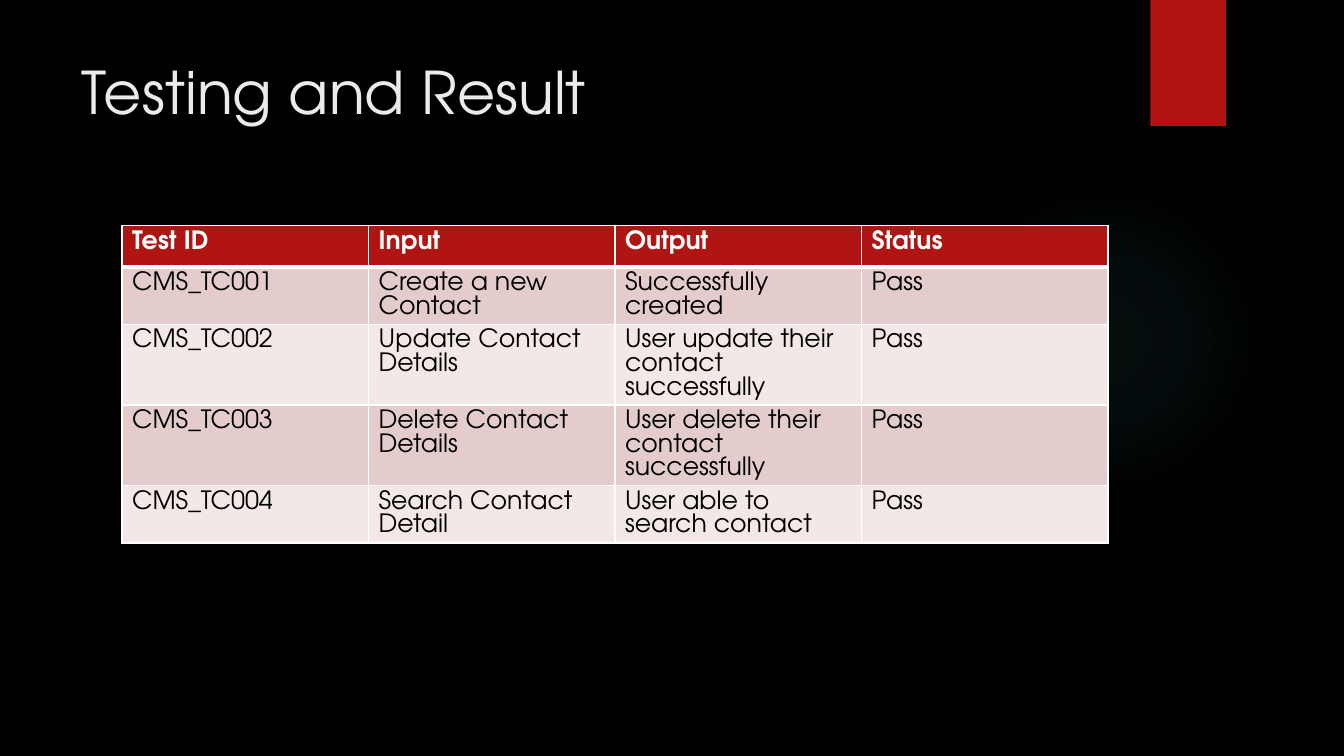
from dataclasses import dataclass
from lxml.etree import SubElement
from pptx import Presentation
from pptx.dml.color import RGBColor as RGB
from pptx.enum.shapes import MSO_SHAPE as SHAPE
from pptx.enum.text import MSO_ANCHOR as ANCHOR, PP_ALIGN as ALIGN
from pptx.oxml import parse_xml
from pptx.oxml.ns import nsdecls, qn
from pptx.util import Inches, Pt

TITLE = "Testing and Result"
HEADER = ("Test ID", "Input", "Output", "Status")
TESTS = [
    ("CMS_TC001", "Create a new Contact", "Successfully created", "Pass"),
    ("CMS_TC002", "Update Contact Details", "User update their contact successfully", "Pass"),
    ("CMS_TC003", "Delete Contact Details", "User delete their contact successfully", "Pass"),
    ("CMS_TC004", "Search Contact Detail", "User able to search contact", "Pass"),
]
GLOW_STOPS = [(0, 7), (36, 6), (69, 0)]


@dataclass(frozen=True)
class Theme:
    font: str = "TeX Gyre Adventor"
    background: str = "000000"
    title: str = "EBEBEB"
    accent: str = "B01513"
    glow: str = "50B9C1"
    header_text: str = "FFFFFF"
    body_text: str = "000000"
    border: str = "FFFFFF"
    bands: tuple = ("E4CCCC", "F2E8E7")
    title_size: int = 42
    table_size: int = 18


THEME = Theme()


def paint(fill, color):
    fill.solid()
    fill.fore_color.rgb = RGB.from_string(color)


def style_text(frame, size, color, bold=False):
    for paragraph in frame.paragraphs:
        paragraph.alignment = ALIGN.LEFT
        for run in paragraph.runs:
            run.font.name = THEME.font
            run.font.size = Pt(size)
            run.font.bold = bold
            run.font.color.rgb = RGB.from_string(color)


def add_decor(slide, preset, left, top, width, height):
    decor = slide.shapes.add_shape(
        preset, Inches(left), Inches(top), Inches(width), Inches(height))
    decor.shadow.inherit = False
    decor.line.fill.background()
    paint(decor.fill, THEME.accent)
    return decor


def fill_with_glow(decor):
    stops = "".join(
        f'<a:gs pos="{position * 1000}"><a:srgbClr val="{THEME.glow}">'
        f'<a:alpha val="{alpha * 1000}"/></a:srgbClr></a:gs>'
        for position, alpha in GLOW_STOPS)
    gradient = parse_xml(
        f'<a:gradFill {nsdecls("a")}><a:gsLst>{stops}</a:gsLst><a:path path="circle">'
        '<a:fillToRect l="50000" t="50000" r="50000" b="50000"/></a:path></a:gradFill>')
    properties = decor.element.spPr
    properties.replace(properties.find(qn("a:solidFill")), gradient)


def add_borders(cell, top, bottom):
    properties = cell._tc.get_or_add_tcPr()
    sides = (("a:lnL", 1), ("a:lnR", 1), ("a:lnT", top), ("a:lnB", bottom))
    for index, (side, width) in enumerate(sides):
        line = parse_xml(f'<{side} {nsdecls("a")} w="{Pt(width)}"/>')
        fill = SubElement(line, qn("a:solidFill"))
        SubElement(fill, qn("a:srgbClr"), val=THEME.border)
        properties.insert(index, line)


def add_results(slide):
    rows = [HEADER, *TESTS]
    results = slide.shapes.add_table(
        len(rows), len(HEADER), Inches(1.21), Inches(2.24),
        Inches(9.78), Inches(0.41 * len(rows))).table
    for row, texts in enumerate(rows):
        is_header = row == 0
        for column, text in enumerate(texts):
            cell = results.cell(row, column)
            cell.text_frame.text = text
            paint(cell.fill, THEME.accent if is_header else THEME.bands[(row - 1) % 2])
            style_text(cell.text_frame, THEME.table_size,
                       THEME.header_text if is_header else THEME.body_text, is_header)
            add_borders(cell, 3 if row == 1 else 1, 3 if is_header else 1)


def main():
    deck = Presentation()
    deck.slide_width, deck.slide_height = Inches(13.33), Inches(7.5)
    slide = deck.slides.add_slide(deck.slide_layouts[5])
    paint(slide.background.fill, THEME.background)

    fill_with_glow(add_decor(slide, SHAPE.OVAL, 9.41, 1.83, 3.08, 3.08))
    add_decor(slide, SHAPE.RECTANGLE, 11.41, 0, 0.75, 1.25)

    title = slide.shapes.title
    title.left, title.top = Inches(0.71), Inches(0.5)
    title.width, title.height = Inches(10.29), Inches(1.53)
    title.text_frame.text = TITLE
    title.text_frame.vertical_anchor = ANCHOR.TOP
    style_text(title.text_frame, THEME.title_size, THEME.title)

    add_results(slide)
    deck.save("out.pptx")


if __name__ == "__main__":
    main()
